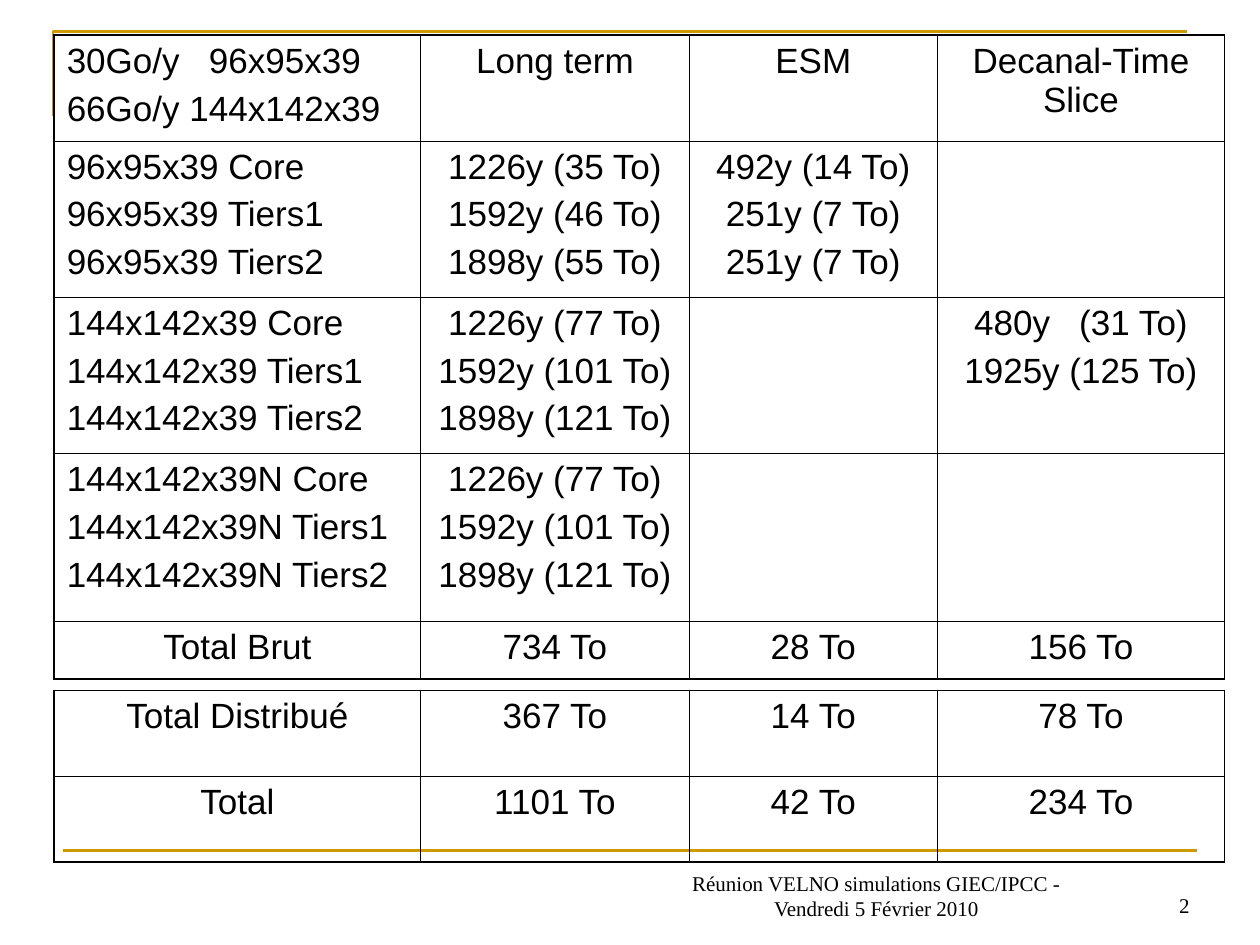
"""Build a slide with simulation storage totals for each experiment."""
from dataclasses import dataclass

from pptx import Presentation
from pptx.dml.color import RGBColor
from pptx.enum.shapes import MSO_CONNECTOR as Connector
from pptx.enum.text import MSO_ANCHOR as Anchor, PP_ALIGN as Align
from pptx.oxml.ns import qn
from pptx.util import Inches, Pt
from lxml.etree import SubElement

BLACK = "000000"
GOLD = "CC9900"
LEFT = 0.43
COLUMN_WIDTHS = (2.91, 2.13, 1.97, 2.28)
THIN, THICK = 0.45, 1.08


@dataclass
class Row:
    height: float
    cells: tuple[str, str, str, str]
    centred_label: bool = False


@dataclass
class Caption:
    text: str
    left: float
    top: float
    width: float
    align: Align


YEARS_LARGE = "1226y (77 To)\n1592y (101 To)\n1898y (121 To)"


def tier_labels(grid: str) -> str:
    return "\n".join(f"{grid} {tier}" for tier in ("Core", "Tiers1", "Tiers2"))


GROSS_ROWS = [
    Row(0.84, ("30Go/y   96x95x39\n66Go/y 144x142x39", "Long term", "ESM", "Decanal-Time Slice")),
    Row(1.24, (tier_labels("96x95x39"), "1226y (35 To)\n1592y (46 To)\n1898y (55 To)",
               "492y (14 To)\n251y (7 To)\n251y (7 To)", "")),
    Row(1.24, (tier_labels("144x142x39"), YEARS_LARGE, "", "480y   (31 To)\n1925y (125 To)")),
    Row(1.33, (tier_labels("144x142x39N"), YEARS_LARGE, "", "")),
    Row(0.46, ("Total Brut", "734 To", "28 To", "156 To"), True),
]
TOTAL_ROWS = [
    Row(0.68, ("Total Distribué", "367 To", "14 To", "78 To"), True),
    Row(0.68, ("Total", "1101 To", "42 To", "234 To"), True),
]
CAPTIONS = [
    Caption("Réunion VELNO simulations GIEC/IPCC - Vendredi 5 Février 2010",
            5.28, 6.86, 3.35, Align.CENTER),
    Caption("2", 8.66, 6.83, 0.88, Align.RIGHT),
]


def color(value: str) -> RGBColor:
    return RGBColor.from_string(value)


def style_font(font, name: str, size: float) -> None:
    font.name = name
    font.size = Pt(size)
    font.color.rgb = color(BLACK)


def style_line(line) -> None:
    line.color.rgb = color(GOLD)
    line.width = Pt(1.5)


def draw_rules(slide) -> None:
    builder = slide.shapes.build_freeform(Inches(0.42), Inches(0.92))
    builder.add_line_segments(
        [(Inches(0.42), Inches(0.25)), (Inches(9.42), Inches(0.25))], close=False)
    corner = builder.convert_to_shape()
    corner.shadow.inherit = False
    corner.fill.background()
    style_line(corner.line)
    rule = slide.shapes.add_connector(
        Connector.STRAIGHT, Inches(0.5), Inches(6.75), Inches(9.5), Inches(6.75))
    SubElement(rule._element.spPr, qn("a:effectLst"))
    style_line(rule.line)


def set_borders(cell, outer_edges: dict[str, bool]) -> None:
    properties = cell._tc.get_or_add_tcPr()
    for side, outer in outer_edges.items():
        width = Pt(THICK if outer else THIN)
        border = SubElement(properties, qn(f"a:ln{side}"), w=str(width))
        fill = SubElement(border, qn("a:solidFill"))
        SubElement(fill, qn("a:srgbClr"), val=BLACK)


def fill_cell(cell, text: str, align: Align) -> None:
    cell.fill.background()
    cell.text = text
    for index, para in enumerate(cell.text_frame.paragraphs):
        para.alignment = align
        para.space_before = Pt(5 if index else 0)
        style_font(para.font, "Arial", 20)


def draw_table(slide, top: float, rows: list[Row]) -> None:
    frame = slide.shapes.add_table(
        len(rows), len(COLUMN_WIDTHS), Inches(LEFT), Inches(top),
        Inches(sum(COLUMN_WIDTHS)), Inches(sum(row.height for row in rows)))
    table = frame.table
    table.first_row = table.horz_banding = False
    for column, width in zip(table.columns, COLUMN_WIDTHS):
        column.width = Inches(width)
    last_row, last_column = len(rows) - 1, len(COLUMN_WIDTHS) - 1
    for r, row in enumerate(rows):
        table.rows[r].height = Inches(row.height)
        for c, text in enumerate(row.cells):
            cell = table.cell(r, c)
            set_borders(cell, {"L": c == 0, "R": c == last_column,
                               "T": r == 0, "B": r == last_row})
            fill_cell(cell, text, Align.CENTER if c or row.centred_label else Align.LEFT)


def draw_caption(slide, caption: Caption) -> None:
    box = slide.shapes.add_textbox(
        Inches(caption.left), Inches(caption.top), Inches(caption.width), Inches(0.5))
    frame = box.text_frame
    frame.word_wrap = True
    frame.vertical_anchor = Anchor.BOTTOM
    para = frame.paragraphs[0]
    para.text = caption.text
    para.alignment = caption.align
    style_font(para.font, "Times New Roman", 12)


def main() -> None:
    deck = Presentation()
    deck.slide_width, deck.slide_height = Inches(10), Inches(7.5)
    slide = deck.slides.add_slide(deck.slide_layouts[6])
    draw_rules(slide)
    draw_table(slide, 0.28, GROSS_ROWS)
    draw_table(slide, 5.48, TOTAL_ROWS)
    for caption in CAPTIONS:
        draw_caption(slide, caption)
    deck.save("out.pptx")


if __name__ == "__main__":
    main()
